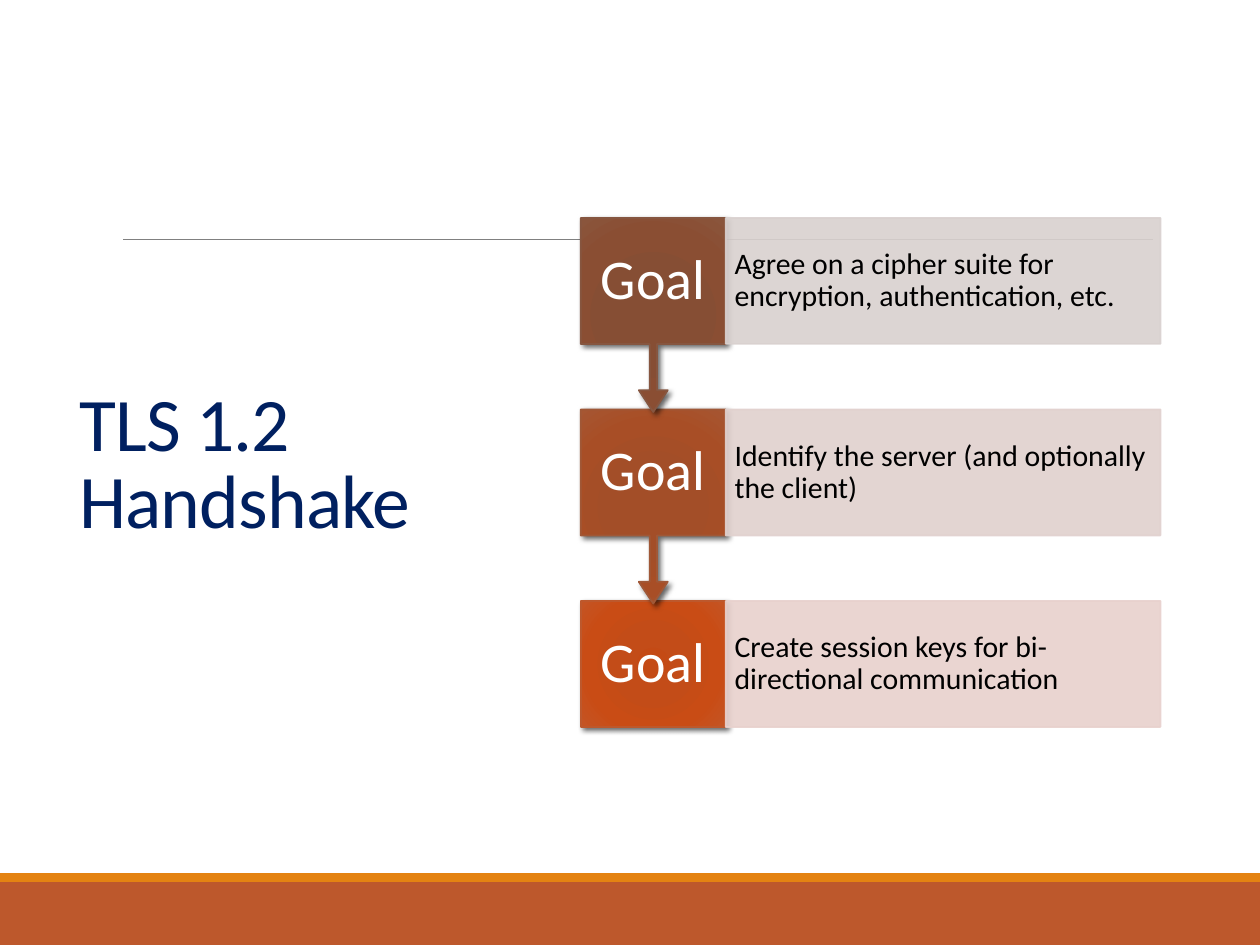
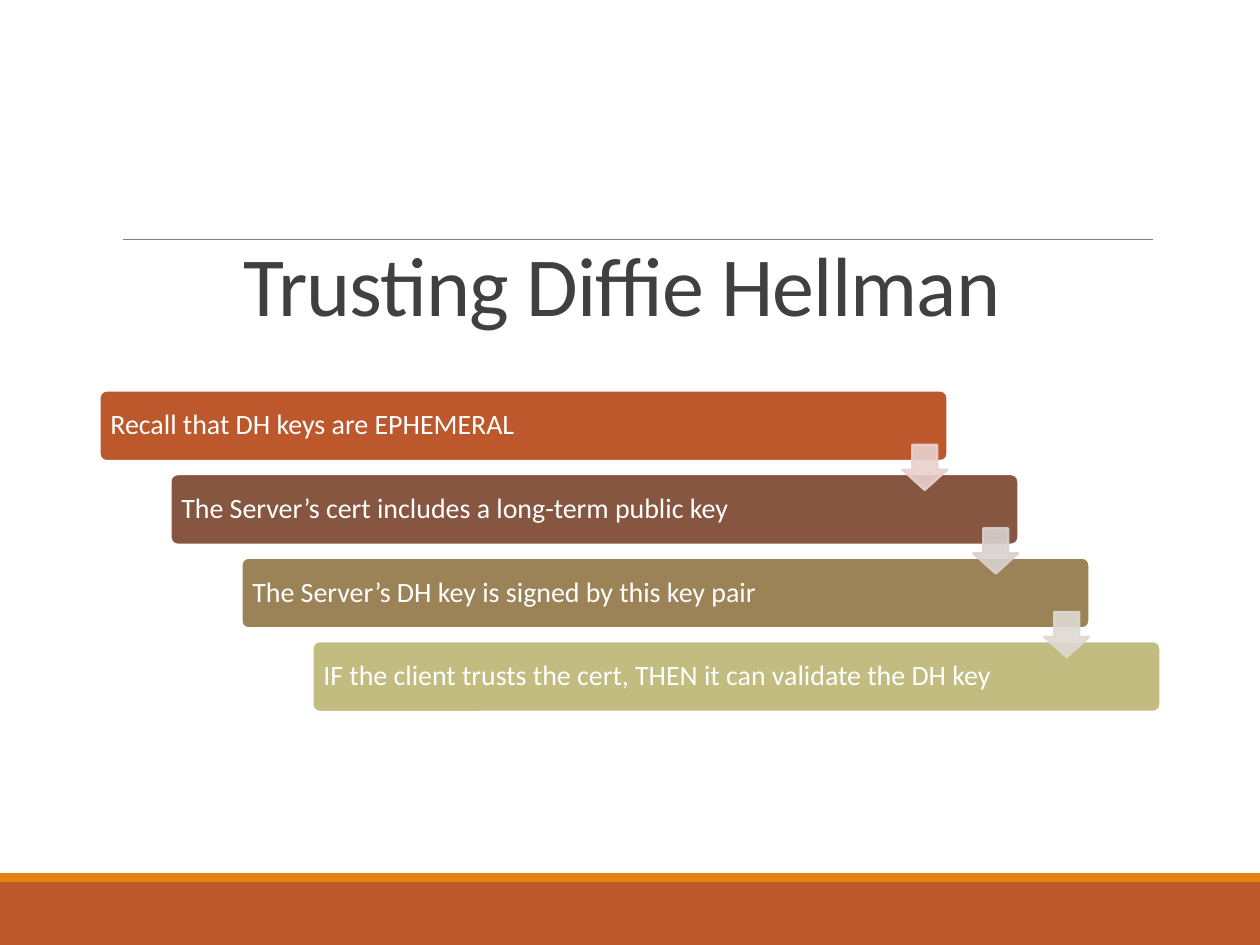
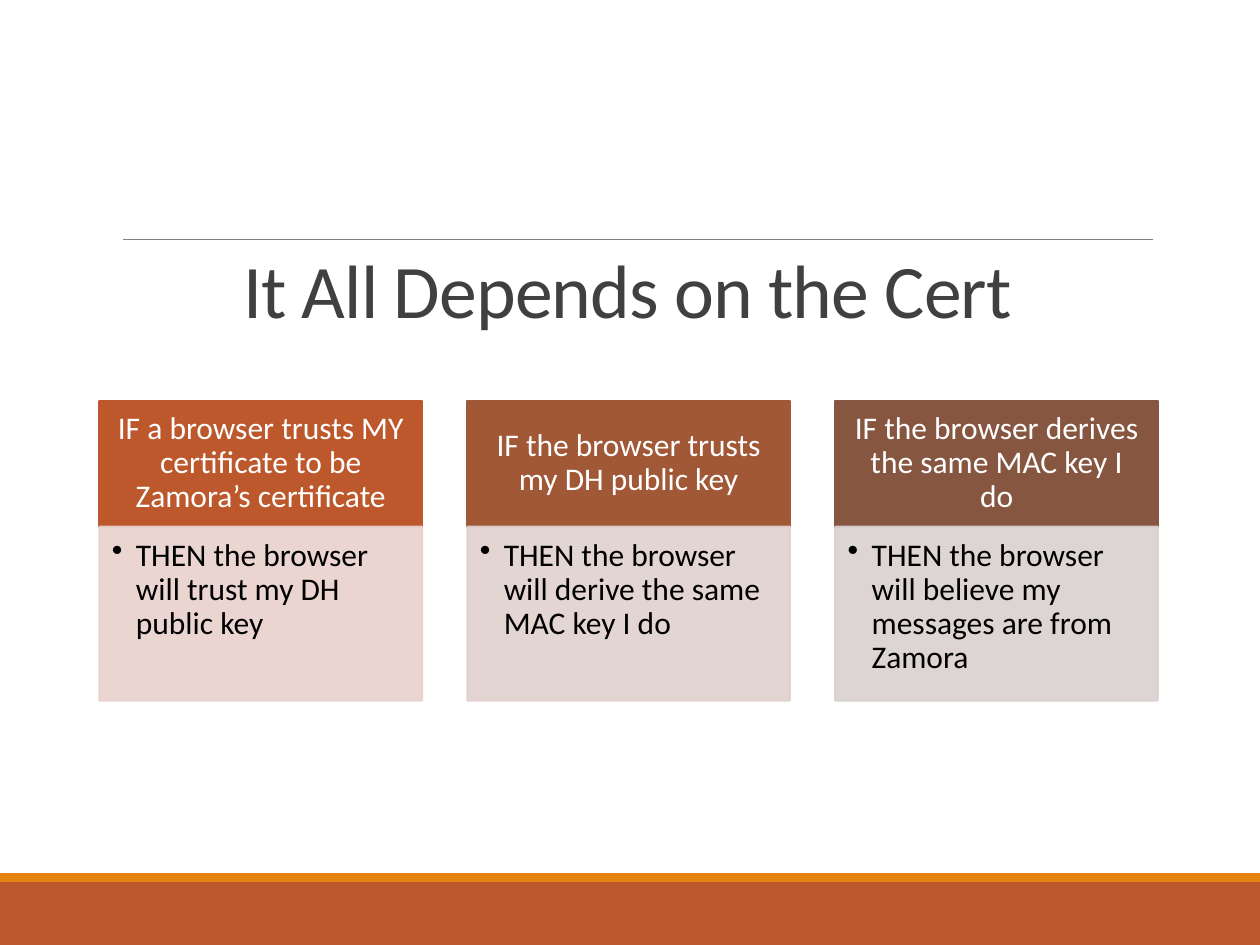
from lxml import etree
from pptx import Presentation
from pptx.dml.color import RGBColor
from pptx.enum.shapes import MSO_CONNECTOR, MSO_SHAPE
from pptx.enum.text import MSO_ANCHOR, MSO_AUTO_SIZE, PP_ALIGN
from pptx.oxml import parse_xml
from pptx.oxml.ns import nsdecls, qn
from pptx.util import Inches, Pt

RECTANGLE = MSO_SHAPE.RECTANGLE
ROUNDED = MSO_SHAPE.ROUNDED_RECTANGLE
DOWN_ARROW = MSO_SHAPE.DOWN_ARROW
CALLOUT = MSO_SHAPE.DOWN_ARROW_CALLOUT
STRAIGHT = MSO_CONNECTOR.STRAIGHT
TOP, MIDDLE, BOTTOM = MSO_ANCHOR.TOP, MSO_ANCHOR.MIDDLE, MSO_ANCHOR.BOTTOM
LEFT, CENTER = PP_ALIGN.LEFT, PP_ALIGN.CENTER
FIXED_SIZE = MSO_AUTO_SIZE.NONE

FONT = "Calibri"
WHITE, BLACK, DARK_GRAY, GRAY, NAVY = "FFFFFF", "000000", "404040", "808080", "002060"
ORANGE, RUST, SIENNA, BROWN = "E48312", "BD582C", "A05837", "865640"
KHAKI, OLIVE = "9B8357", "C2BC80"
PALE_RUST, PALE_SIENNA, PALE_BROWN, PALE_KHAKI = "E8D1CD", "E1D1CE", "D9D1CF", "DED9D1"
PALE_OPACITY = 90


def rgb(color):
    return RGBColor.from_string(color)


def set_opacity(fill_parent, percent):
    """Make the solid colour inside a shape's properties or line translucent."""
    color = fill_parent.find(qn("a:solidFill")).find(qn("a:srgbClr"))
    etree.SubElement(color, qn("a:alpha"), val=str(percent * 1000))


class Deck:
    def __init__(self):
        self.presentation = Presentation()
        self.presentation.slide_width = Inches(10)
        self.presentation.slide_height = Inches(7.5)
        self.page = None

    def add_page(self, title, at, size=43.2, color=DARK_GRAY):
        """Start a slide with the shared bands, rule and title style."""
        self.page = self.presentation.slides.add_slide(self.presentation.slide_layouts[5])
        self.box(RECTANGLE, (0, 7, 10, 0.5), RUST)
        self.box(RECTANGLE, (0, 6.93, 10, 0.07), ORANGE)
        self.rule(0.98, 9.15, 1.9)
        heading = self.page.shapes.title
        heading.left, heading.top, heading.width, heading.height = map(Inches, at)
        heading.text_frame.auto_size = FIXED_SIZE
        para = self.set_text(heading, title, size, color, anchor=BOTTOM, spacing=0.85,
                             margins=(0.1, 0.05, 0.1, 0.05))
        para.font._rPr.set("spc", "-50")

    def rule(self, start, end, height):
        line = self.page.shapes.add_connector(
            STRAIGHT, Inches(start), Inches(height), Inches(end), Inches(height))
        line.line.color.rgb = rgb(GRAY)
        line.line.width = Pt(0.5)
        etree.SubElement(line._element.spPr, qn("a:effectLst"))

    def box(self, kind, at, fill, line=None, line_width=1.25, adjustments=(), opacity=100):
        shape = self.page.shapes.add_shape(kind, *map(Inches, at))
        shape.shadow.inherit = False
        shape.fill.solid()
        shape.fill.fore_color.rgb = rgb(fill)
        if line:
            shape.line.color.rgb = rgb(line)
            shape.line.width = Pt(line_width)
        else:
            shape.line.fill.background()
        for index, value in enumerate(adjustments):
            shape.adjustments[index] = value
        if opacity < 100:
            properties = shape._element.spPr
            set_opacity(properties, opacity)
            set_opacity(properties.find(qn("a:ln")), opacity)
        return shape

    def pale_box(self, kind, at, color, **options):
        return self.box(kind, at, color, color, opacity=PALE_OPACITY, **options)

    def glow(self, shape, colors):
        """Give the shape a round gradient and a soft shadow."""
        stops = "".join(
            f'<a:gs pos="{position * 1000}"><a:srgbClr val="{color}"/></a:gs>'
            for position, color in zip((0, 34, 70, 100), colors))
        gradient = parse_xml(
            f'<a:gradFill {nsdecls("a")} rotWithShape="1"><a:gsLst>{stops}</a:gsLst>'
            '<a:path path="circle"><a:fillToRect l="100000" t="100000" r="100000" b="100000"/>'
            '</a:path></a:gradFill>')
        shadow = parse_xml(
            f'<a:outerShdw {nsdecls("a")} blurRad="{Pt(3)}" dist="{Pt(2)}" dir="2700000" '
            'rotWithShape="0"><a:srgbClr val="000000"><a:alpha val="60000"/></a:srgbClr>'
            '</a:outerShdw>')
        properties = shape._element.spPr
        properties.replace(properties.find(qn("a:solidFill")), gradient)
        properties.find(qn("a:effectLst")).append(shadow)

    def set_text(self, shape, text, size, color, align=LEFT, anchor=MIDDLE, spacing=0.9,
                 margins=(0.07, 0.07, 0.07, 0.07)):
        frame = shape.text_frame
        frame.word_wrap = True
        frame.vertical_anchor = anchor
        (frame.margin_left, frame.margin_top,
         frame.margin_right, frame.margin_bottom) = map(Inches, margins)
        para = frame.paragraphs[0]
        para.text = text
        para.alignment = align
        para.line_spacing = spacing
        para.font.name = FONT
        para.font.size = Pt(size)
        para.font.color.rgb = rgb(color)
        return para

    def bullet(self, para, indent):
        properties = para._p.get_or_add_pPr()
        properties.set("marL", str(Inches(indent)))
        properties.set("indent", str(-Inches(indent)))
        mark = etree.Element(qn("a:buChar"), char="•")
        para.font._rPr.addprevious(mark)


def add_handshake_goals(deck):
    deck.add_page("TLS 1.2 Handshake", (0.53, 3.14, 3.14, 1.23), color=NAVY)
    goals = [
        ("Agree on a cipher suite for encryption, authentication, etc.",
         BROWN, PALE_BROWN, ("874C32", "864E34", "8A4E33", "8A553C")),
        ("Identify the server (and optionally the client)",
         SIENNA, PALE_SIENNA, ("A44C25", "A34E28", "A84E26", "A65632")),
        ("Create session keys for bi-directional communication",
         RUST, PALE_RUST, ("C44A15", "C34C18", "C94C15", "C45525")),
    ]
    last = len(goals) - 1
    # Bottom row first, so that each arrow tip lies over the row below.
    for row, (goal, color, pale, glow_colors) in reversed(list(enumerate(goals))):
        top = 1.73 + 1.52 * row
        if row == last:
            label = deck.box(RECTANGLE, (4.61, top, 1.15, 1), color, color, 1)
        else:
            label = deck.box(CALLOUT, (4.61, top, 1.15, 1.54), color, color, 1,
                             adjustments=(0.05, 0.1, 0.15, 0.65))
        deck.glow(label, glow_colors)
        deck.set_text(label, "Goal", 32, WHITE, align=CENTER)
        panel = deck.pale_box(RECTANGLE, (5.76, top, 3.45, 1), pale, line_width=1)
        deck.set_text(panel, goal, 17, BLACK)


def add_trust_steps(deck):
    deck.add_page("Trusting Diffie Hellman", (1.83, 1.73, 6.34, 0.97), size=48)
    steps = [
        ("Recall that DH keys are EPHEMERAL", RUST),
        ("The Server’s cert includes a long-term public key", BROWN),
        ("The Server’s DH key is signed by this key pair", KHAKI),
        ("IF the client trusts the cert, THEN it can validate the DH key", OLIVE),
    ]
    width, arrow_size = 6.73, 0.36
    right, bottom = 2.48, 5.09
    gaps = len(steps) - 1
    corners = [(0.79 + (right - 0.79) * step / gaps, 3.1 + (bottom - 3.1) * step / gaps)
               for step in range(len(steps))]
    for (left, top), (text, color) in zip(corners, steps):
        bar = deck.box(ROUNDED, (left, top, width, 0.56), color, WHITE, adjustments=(0.1,))
        deck.set_text(bar, text, 16, WHITE)
    for (left, top), color in zip(corners, (PALE_RUST, PALE_BROWN, PALE_KHAKI)):
        deck.pale_box(DOWN_ARROW, (left + width - arrow_size, top + 0.43, arrow_size, arrow_size),
                      color, adjustments=(0.55, 0.45))


def add_cert_columns(deck):
    deck.add_page("It All Depends on the Cert", (1.83, 1.73, 6.34, 0.97))
    columns = [
        ("IF a browser trusts MY certificate to be Zamora’s certificate",
         "THEN the browser will trust my DH public key", RUST, PALE_RUST),
        ("IF the browser trusts my DH public key",
         "THEN the browser will derive the same MAC key I do", SIENNA, PALE_SIENNA),
        ("IF the browser derives the same MAC key I do",
         "THEN the browser will believe my messages are from Zamora", BROWN, PALE_BROWN),
    ]
    width, gap = 2.56, 0.36
    for column, (condition, result, color, pale) in enumerate(columns):
        left = 0.79 + (width + gap) * column
        header = deck.box(RECTANGLE, (left, 3.18, width, 1), color, color)
        deck.set_text(header, condition, 18, WHITE, align=CENTER,
                      margins=(0.14, 0.08, 0.14, 0.08))
        body = deck.pale_box(RECTANGLE, (left, 4.18, width, 1.38), pale)
        para = deck.set_text(body, result, 18, BLACK, anchor=TOP, margins=(0.1, 0.1, 0.14, 0.16))
        deck.bullet(para, 0.19)


def main():
    deck = Deck()
    add_handshake_goals(deck)
    add_trust_steps(deck)
    add_cert_columns(deck)
    deck.presentation.save("out.pptx")


if __name__ == "__main__":
    main()
